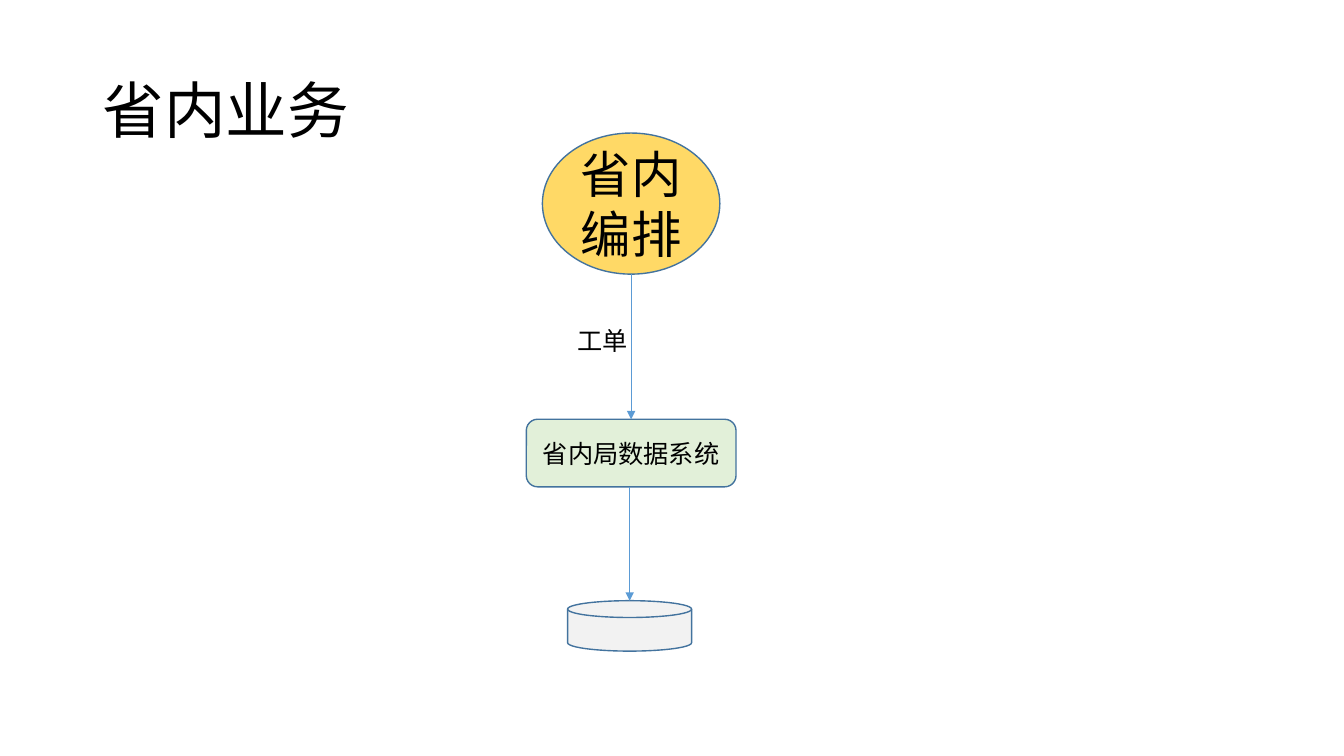
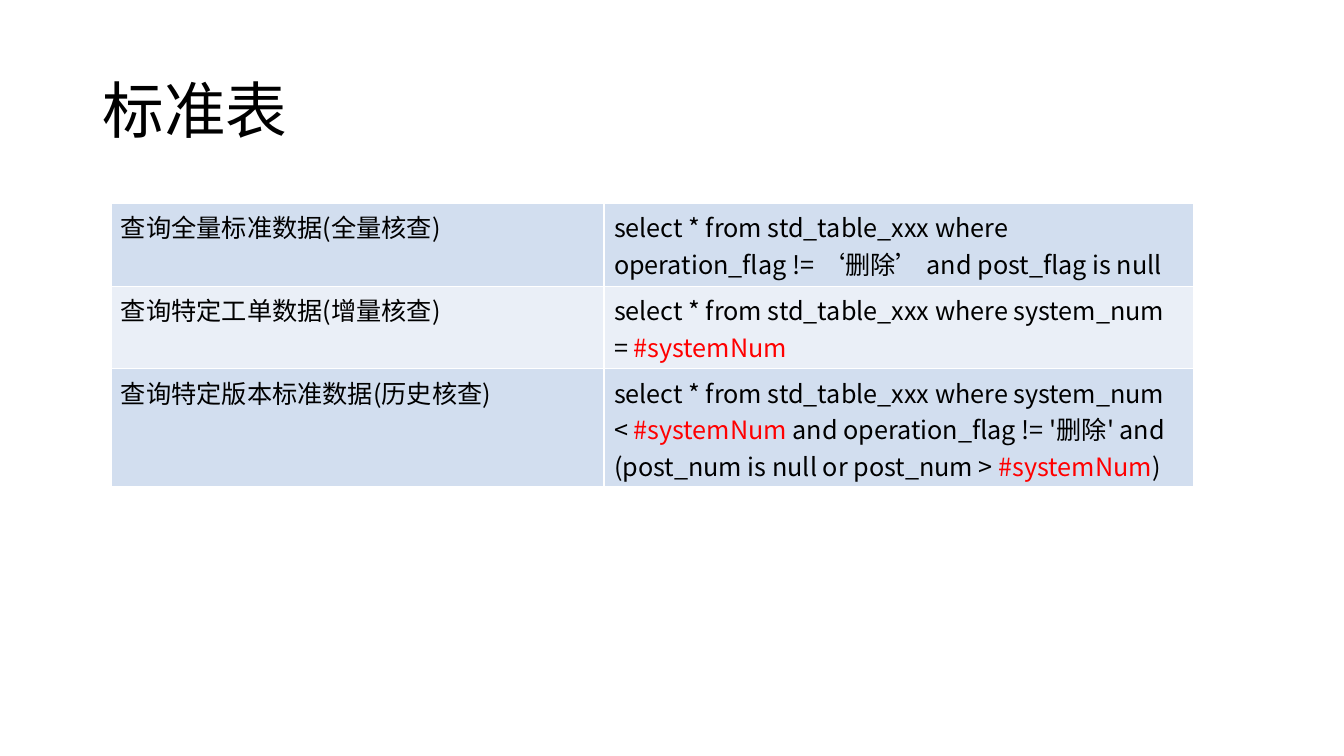
"""Build two slides: a provincial workflow diagram and a table of standard queries."""
from dataclasses import dataclass

from lxml import etree
from pptx import Presentation
from pptx.dml.color import RGBColor
from pptx.enum.shapes import MSO_CONNECTOR, MSO_SHAPE
from pptx.enum.text import MSO_ANCHOR, PP_ALIGN
from pptx.oxml.ns import qn
from pptx.util import Inches, Pt

FONT = "Noto Sans CJK SC"
BLACK = RGBColor(0x00, 0x00, 0x00)
WHITE = RGBColor(0xFF, 0xFF, 0xFF)
RED = RGBColor(0xFF, 0x00, 0x00)
YELLOW = RGBColor(0xFF, 0xD9, 0x66)
GREEN = RGBColor(0xE2, 0xF0, 0xD9)
GRAY = RGBColor(0xF2, 0xF2, 0xF2)
OUTLINE = RGBColor(0x43, 0x73, 0x9E)
ARROW = RGBColor(0x5B, 0x9B, 0xD5)
BANDS = (RGBColor(0xD2, 0xDE, 0xEF), RGBColor(0xEA, 0xEF, 0xF7))
PARAMETER = "#systemNum"
BODY_SIZE = 18


@dataclass(frozen=True)
class Node:
    """One step of the workflow, measured in inches."""
    preset: MSO_SHAPE
    left: float
    top: float
    width: float
    height: float
    fill: RGBColor
    text: str = ""
    size: int = BODY_SIZE

    @property
    def center(self) -> float:
        """Return the horizontal centre."""
        return self.left + self.width / 2

    @property
    def bottom(self) -> float:
        """Return the lower edge."""
        return self.top + self.height


@dataclass(frozen=True)
class Query:
    """A named query and the height of its table row in inches."""
    name: str
    statement: str
    height: float


NODES = (
    Node(MSO_SHAPE.OVAL, 5.38, 1.32, 1.76, 1.4, YELLOW, "省内编排", 36),
    Node(MSO_SHAPE.ROUNDED_RECTANGLE, 5.22, 4.16, 2.08, 0.67, GREEN, "省内局数据系统"),
    Node(MSO_SHAPE.FLOWCHART_MAGNETIC_DISK, 5.63, 5.96, 1.23, 0.5, GRAY),
)
QUERIES = (
    Query("查询全量标准数据(全量核查)",
          "select * from std_table_xxx where operation_flag != ‘删除’ and post_flag is null", 0.82),
    Query("查询特定工单数据(增量核查)",
          "select * from std_table_xxx where system_num = #systemNum", 0.82),
    Query("查询特定版本标准数据(历史核查)",
          "select * from std_table_xxx where system_num < #systemNum and operation_flag != '删除' "
          "and (post_num is null or post_num > #systemNum)", 1.17),
)
COLUMN_WIDTHS = (4.89, 5.85)


def format_run(run, size: int, color: RGBColor = BLACK) -> None:
    """Apply the shared font to Latin and East Asian text."""
    run.font.size = Pt(size)
    run.font.name = FONT
    run.font.color.rgb = color
    etree.SubElement(run.font._element, qn("a:ea"), typeface=FONT)


def set_text(text_frame, text: str, size: int) -> None:
    """Set a single formatted paragraph."""
    text_frame.text = text
    for run in text_frame.paragraphs[0].runs:
        format_run(run, size)


def add_text(slide, left: float, top: float, width: float, height: float,
             text: str, size: int, wrap: bool = True):
    """Add a text box and return its text frame."""
    box = slide.shapes.add_textbox(Inches(left), Inches(top), Inches(width), Inches(height))
    box.text_frame.word_wrap = wrap
    set_text(box.text_frame, text, size)
    return box.text_frame


def add_titled_slide(presentation, title: str):
    """Add a blank slide with the shared title."""
    slide = presentation.slides.add_slide(presentation.slide_layouts[6])
    text_frame = add_text(slide, 0.92, 0.4, 11.5, 1.45, title, 44)
    text_frame.vertical_anchor = MSO_ANCHOR.MIDDLE
    text_frame.paragraphs[0].line_spacing = 0.9
    return slide


def add_node(slide, node: Node) -> None:
    """Draw one workflow step."""
    shape = slide.shapes.add_shape(node.preset, Inches(node.left), Inches(node.top),
                                   Inches(node.width), Inches(node.height))
    shape.shadow.inherit = False
    shape.fill.solid()
    shape.fill.fore_color.rgb = node.fill
    shape.line.color.rgb = OUTLINE
    shape.line.width = Pt(1)
    if node.text:
        shape.text_frame.vertical_anchor = MSO_ANCHOR.MIDDLE
        set_text(shape.text_frame, node.text, node.size)
        shape.text_frame.paragraphs[0].alignment = PP_ALIGN.CENTER


def add_arrow(slide, source: Node, target: Node) -> None:
    """Draw a vertical arrow between two steps."""
    center = Inches(target.center)
    connector = slide.shapes.add_connector(MSO_CONNECTOR.STRAIGHT, center, Inches(source.bottom),
                                           center, Inches(target.top))
    connector.line.color.rgb = ARROW
    connector.line.width = Pt(0.5)
    etree.SubElement(connector.line._get_or_add_ln(), qn("a:tailEnd"), type="triangle")
    etree.SubElement(connector._element.spPr, qn("a:effectLst"))


def style_cell(cell, fill: RGBColor) -> None:
    """Give a cell white borders and a fill."""
    properties = cell._tc.get_or_add_tcPr()
    for side in ("L", "R", "T", "B"):
        border = etree.SubElement(properties, qn(f"a:ln{side}"), w=str(Pt(1)))
        solid = etree.SubElement(border, qn("a:solidFill"))
        etree.SubElement(solid, qn("a:srgbClr"), val=str(WHITE))
    cell.fill.solid()
    cell.fill.fore_color.rgb = fill


def add_statement(paragraph, statement: str) -> None:
    """Write a query with its parameters in red."""
    for index, part in enumerate(statement.split(PARAMETER)):
        pieces = ((PARAMETER, RED),) if index else ()
        for text, color in (*pieces, (part, BLACK)):
            if text:
                run = paragraph.add_run()
                run.text = text
                format_run(run, BODY_SIZE, color)


def build_workflow(presentation) -> None:
    """Build the workflow slide."""
    slide = add_titled_slide(presentation, "省内业务")
    for node in NODES:
        add_node(slide, node)
    for source, target in zip(NODES, NODES[1:]):
        add_arrow(slide, source, target)
    add_text(slide, 5.63, 3.18, 0.71, 0.4, "工单", BODY_SIZE, wrap=False)


def build_queries(presentation) -> None:
    """Build the query table slide."""
    slide = add_titled_slide(presentation, "标准表")
    frame = slide.shapes.add_table(len(QUERIES), len(COLUMN_WIDTHS), Inches(1.1), Inches(2.02),
                                   Inches(sum(COLUMN_WIDTHS)),
                                   Inches(sum(query.height for query in QUERIES)))
    table = frame.table
    table.first_row = False
    table.horz_banding = False
    for column, width in zip(table.columns, COLUMN_WIDTHS):
        column.width = Inches(width)
    for index, (row, query) in enumerate(zip(table.rows, QUERIES)):
        row.height = Inches(query.height)
        name_cell, statement_cell = row.cells
        set_text(name_cell.text_frame, query.name, BODY_SIZE)
        add_statement(statement_cell.text_frame.paragraphs[0], query.statement)
        for cell in (name_cell, statement_cell):
            style_cell(cell, BANDS[index % len(BANDS)])


def main() -> None:
    """Create and save the presentation."""
    presentation = Presentation()
    presentation.slide_width = Inches(13.33)
    presentation.slide_height = Inches(7.5)
    build_workflow(presentation)
    build_queries(presentation)
    presentation.save("out.pptx")


if __name__ == "__main__":
    main()
